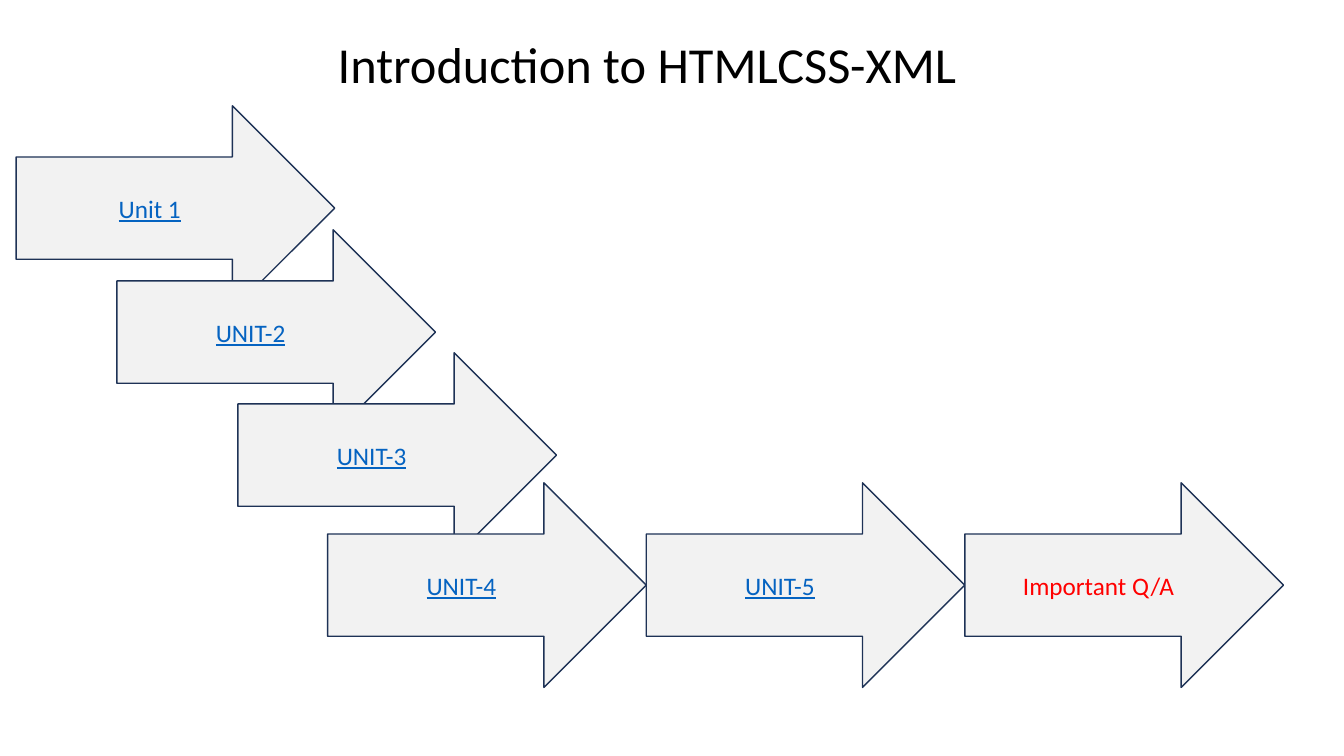
from dataclasses import dataclass

from pptx import Presentation
from pptx import util as u
from pptx.dml.color import RGBColor
from pptx.enum import shapes, text
from pptx.slide import Slide
from pptx.text.text import Font

COLOURS = {
    "title": "000000",
    "arrow": "F2F2F2",
    "outline": "1E3256",
    "unit": "0563C1",
    "questions": "FF0000",
}
FONT = "Calibri"
ARROW_WIDTH, ARROW_HEIGHT = 3.16, 2.03
ROW_LEFT, ROW_TOP = 3.25, 4.79


@dataclass(frozen=True)
class Step:
    label: str
    left: float
    top: float
    colour: str = "unit"
    underline: bool = True


# Back to front: units 1-4 step down, then the bottom row runs to the right.
STEPS = [
    Step("Unit 1", 0.16, 1.05),
    Step("UNIT-2", 1.16, 2.28),
    Step("UNIT-5", ROW_LEFT + ARROW_WIDTH, ROW_TOP),
    Step("UNIT-3", 2.36, 3.5),
    Step("UNIT-4", ROW_LEFT, ROW_TOP),
    Step("Important Q/A", ROW_LEFT + 2 * ARROW_WIDTH, ROW_TOP, "questions", False),
]


def rgb(name: str) -> RGBColor:
    return RGBColor.from_string(COLOURS[name])


def style_font(font: Font, size: float, colour: str) -> None:
    font.name = FONT
    font.size = u.Pt(size)
    font.color.rgb = rgb(colour)


def add_title(slide: Slide, wording: str) -> None:
    title = slide.shapes.add_textbox(
        u.Inches(3.25), u.Inches(0.28), u.Inches(8.32), u.Inches(0.71)
    )
    frame = title.text_frame
    frame.word_wrap = True
    frame.auto_size = text.MSO_AUTO_SIZE.SHAPE_TO_FIT_TEXT
    frame.text = wording
    style_font(frame.paragraphs[0].runs[0].font, 36, "title")


def add_step(slide: Slide, step: Step) -> None:
    arrow = slide.shapes.add_shape(
        shapes.MSO_SHAPE.RIGHT_ARROW,
        u.Inches(step.left),
        u.Inches(step.top),
        u.Inches(ARROW_WIDTH),
        u.Inches(ARROW_HEIGHT),
    )
    arrow.shadow.inherit = False
    arrow.fill.solid()
    arrow.fill.fore_color.rgb = rgb("arrow")
    arrow.line.color.rgb = rgb("outline")
    arrow.line.width = u.Pt(1)

    frame = arrow.text_frame
    frame.word_wrap = True
    frame.vertical_anchor = text.MSO_ANCHOR.MIDDLE
    frame.text = step.label
    label = frame.paragraphs[0]
    label.alignment = text.PP_ALIGN.CENTER
    font = label.runs[0].font
    style_font(font, 18, step.colour)
    font.underline = step.underline


def main() -> None:
    deck = Presentation()
    deck.slide_width = u.Inches(13.33)
    deck.slide_height = u.Inches(7.5)
    slide = deck.slides.add_slide(deck.slide_layouts[6])
    add_title(slide, "Introduction to HTMLCSS-XML")
    for step in STEPS:
        add_step(slide, step)
    deck.save("out.pptx")


if __name__ == "__main__":
    main()
